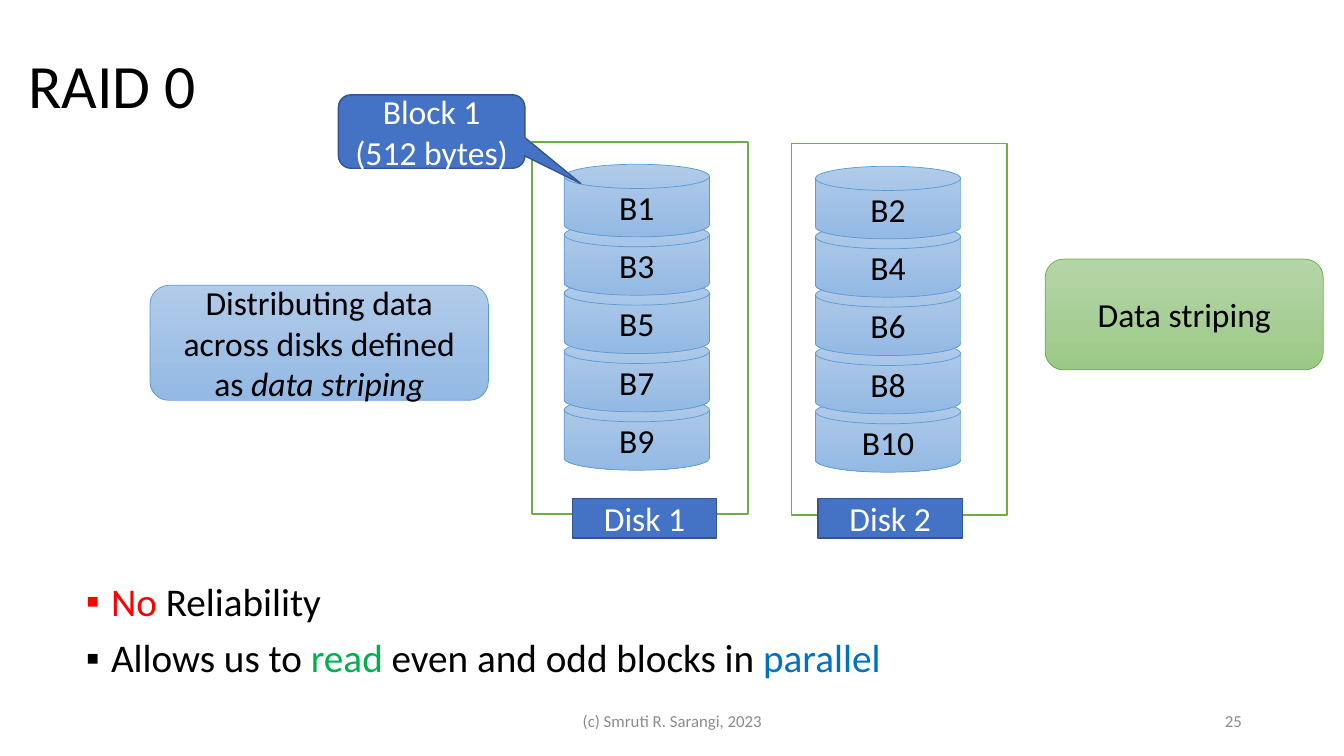
from dataclasses import dataclass

from lxml import etree
from pptx import Presentation
from pptx.dml.color import RGBColor
from pptx.enum.shapes import MSO_SHAPE
from pptx.enum.text import MSO_ANCHOR, MSO_AUTO_SIZE, PP_ALIGN
from pptx.oxml.ns import qn
from pptx.util import Cm, Pt

PROCESS = MSO_SHAPE.FLOWCHART_PROCESS
CYLINDER = MSO_SHAPE.FLOWCHART_MAGNETIC_DISK
ROUNDED = MSO_SHAPE.ROUNDED_RECTANGLE
CALLOUT = MSO_SHAPE.ROUNDED_RECTANGULAR_CALLOUT
LEFT, CENTER, RIGHT = PP_ALIGN.LEFT, PP_ALIGN.CENTER, PP_ALIGN.RIGHT
TOP, MIDDLE = MSO_ANCHOR.TOP, MSO_ANCHOR.MIDDLE
NO_FIT = MSO_AUTO_SIZE.NONE


@dataclass(frozen=True)
class Theme:
    font: str = "Calibri"
    title: int = 44
    body: int = 28
    label: int = 24
    footer: int = 12
    black: str = "000000"
    white: str = "FFFFFF"
    gray: str = "8C8C8C"
    red: str = "FF0000"
    green: str = "00B050"
    blue: str = "0070C0"
    # Each style: fill colours, line colour, line width, text colour
    frame: tuple = (("FFFFFF",), "70AD47", 1, "000000")
    solid_blue: tuple = (("4472C4",), "325491", 1, "FFFFFF")
    soft_blue: tuple = (("B1CBE9", "93B9E4"), "5B9BD5", 0.5, "000000")
    soft_green: tuple = (("B5D5A7", "9CC987"), "70AD47", 0.5, "000000")


T = Theme()

# Content
TITLE = "RAID 0"
BULLETS = [
    [("No", T.red), (" Reliability", T.black)],
    [("Allows us to ", T.black), ("read", T.green),
     (" even and odd blocks in ", T.black), ("parallel", T.blue)],
]
FOOTERS = [
    ("(c) Smruti R. Sarangi, 2023", (11.23, 17.65, 11.43, 1.02), CENTER),
    ("25", (23.93, 17.65, 7.62, 1.02), RIGHT),
]
# Name, blocks, then left and top of the frame, of the top block, of the label
DISKS = [
    ("Disk 1", ["B1", "B3", "B5", "B7", "B9"],
     (13.41, 3.58), (14.22, 4.14), (14.43, 12.57)),
    ("Disk 2", ["B2", "B4", "B6", "B8", "B10"],
     (19.94, 3.61), (20.55, 4.19), (20.62, 12.57)),
]
FRAME_SIZE, BLOCK_SIZE, LABEL_SIZE = (5.44, 9.37), (3.66, 1.83), (3.63, 0.99)
BLOCK_PITCH = 1.47


def style_run(r, size, color):
    r.font.name, r.font.size = T.font, Pt(size)
    r.font.color.rgb = RGBColor.from_string(color)


def place(sp, box):
    sp.left, sp.top, sp.width, sp.height = map(Cm, box)


def add_box(s, kind, box, style, text=""):
    fills, line, width, color = style
    sp = s.shapes.add_shape(kind, *map(Cm, box))
    sp.shadow.inherit = False
    if len(fills) == 1:
        sp.fill.solid()
        sp.fill.fore_color.rgb = RGBColor.from_string(fills[0])
    else:
        sp.fill.gradient()
        sp.fill.gradient_angle = 270
        for stop, fill in zip(sp.fill.gradient_stops, fills):
            stop.color.rgb = RGBColor.from_string(fill)
    sp.line.color.rgb = RGBColor.from_string(line)
    sp.line.width = Pt(width)
    if text:
        tf = sp.text_frame
        tf.text = text
        tf.vertical_anchor = MIDDLE
        for p in tf.paragraphs:
            p.alignment = CENTER
            for r in p.runs:
                style_run(r, T.label, color)
    return sp


def add_bullet(p):
    pPr = p._p.get_or_add_pPr()
    pPr.set("marL", str(Cm(0.635)))
    pPr.set("indent", str(-Cm(0.635)))
    etree.SubElement(pPr, qn("a:buFont")).set("typeface", "Arial")
    etree.SubElement(pPr, qn("a:buChar")).set("char", "▪")


def add_title(s):
    sp = s.shapes.title
    place(sp, (0.46, 0.38, 29.21, 3.68))
    tf = sp.text_frame
    tf.text = TITLE
    tf.vertical_anchor, tf.auto_size = MIDDLE, NO_FIT
    p = tf.paragraphs[0]
    p.alignment, p.line_spacing = LEFT, 0.9
    style_run(p.runs[0], T.title, T.black)


def add_bullets(s):
    sp = s.placeholders[1]
    place(sp, (1.91, 14.55, 30.05, 2.79))
    tf = sp.text_frame
    tf.vertical_anchor, tf.auto_size = TOP, NO_FIT
    for i, parts in enumerate(BULLETS):
        p = tf.add_paragraph() if i else tf.paragraphs[0]
        add_bullet(p)
        p.alignment, p.line_spacing = LEFT, 0.9
        p.space_before = Pt(10 if i else 0)
        for text, color in parts:
            r = p.add_run()
            r.text = text
            style_run(r, T.body, color)


def add_footers(s):
    for text, box, align in FOOTERS:
        tf = s.shapes.add_textbox(*map(Cm, box)).text_frame
        tf.text, tf.word_wrap, tf.vertical_anchor = text, True, MIDDLE
        p = tf.paragraphs[0]
        p.alignment = align
        style_run(p.runs[0], T.footer, T.gray)


def add_disks(s):
    for name, blocks, frame, (left, top), label in DISKS:
        add_box(s, PROCESS, frame + FRAME_SIZE, T.frame)
        # Bottom block first, so that each one overlaps the block below it
        for row, block in reversed(list(enumerate(blocks))):
            box = (left, top + row * BLOCK_PITCH) + BLOCK_SIZE
            add_box(s, CYLINDER, box, T.soft_blue, block)
        add_box(s, PROCESS, label + LABEL_SIZE, T.solid_blue, name)


def add_notes_boxes(s):
    # Callout pointing at the first block
    sp = add_box(s, CALLOUT, (8.53, 2.39, 4.7, 1.85), T.solid_blue,
                 "Block 1\n(512 bytes)")
    for i, value in enumerate((0.8, 0.71, 0.17)):
        sp.adjustments[i] = value

    # Definition with an emphasised term
    sp = add_box(s, ROUNDED, (3.78, 7.19, 8.53, 2.9), T.soft_blue,
                 "Distributing data across disks defined as ")
    r = sp.text_frame.paragraphs[0].add_run()
    r.text = "data striping"
    style_run(r, T.label, T.black)
    r.font.italic = True

    add_box(s, ROUNDED, (26.34, 6.53, 7.01, 2.79), T.soft_green,
            "Data striping")


def main():
    prs = Presentation()
    prs.slide_width, prs.slide_height = Cm(33.87), Cm(19.05)
    s = prs.slides.add_slide(prs.slide_layouts[1])
    add_title(s)
    add_bullets(s)
    add_footers(s)
    add_disks(s)
    add_notes_boxes(s)
    prs.save("out.pptx")


if __name__ == "__main__":
    main()
